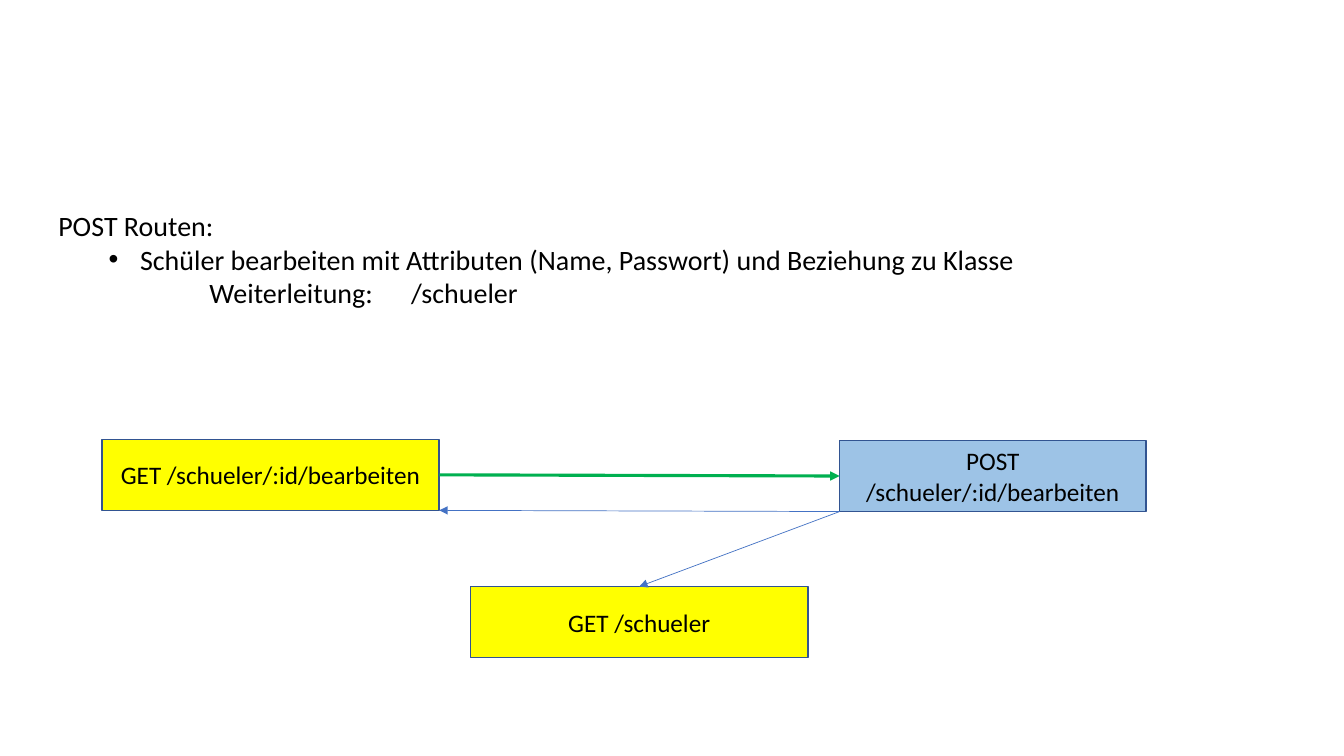
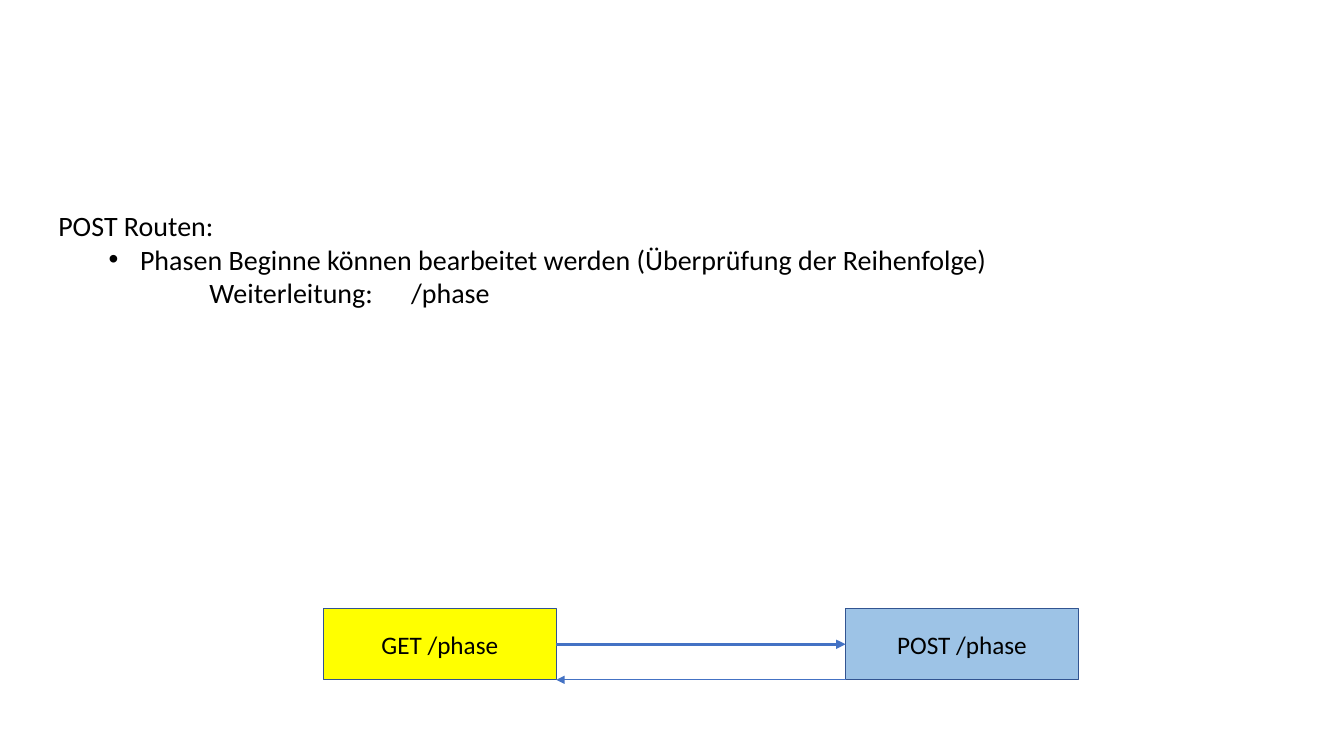
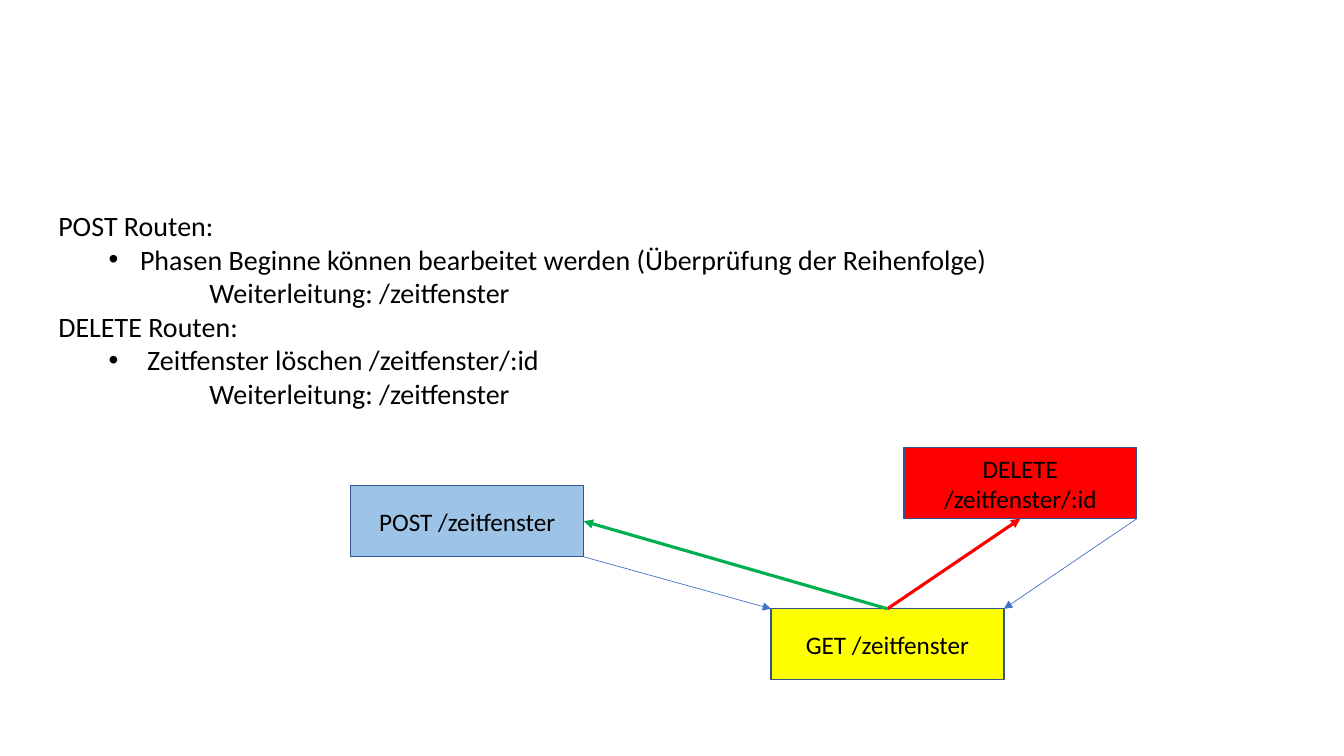
"""Build three slides that show the routes of a school web application."""
from lxml import etree
from pptx import Presentation
from pptx.dml.color import RGBColor
from pptx.enum.shapes import MSO_CONNECTOR, MSO_SHAPE
from pptx.enum.text import MSO_ANCHOR, MSO_AUTO_SIZE, PP_ALIGN
from pptx.oxml.ns import qn
from pptx.util import Cm, Pt

RECTANGLE = MSO_SHAPE.RECTANGLE
STRAIGHT = MSO_CONNECTOR.STRAIGHT
MIDDLE = MSO_ANCHOR.MIDDLE
FIT_SHAPE = MSO_AUTO_SIZE.SHAPE_TO_FIT_TEXT
LEFT_ALIGNED, CENTERED = PP_ALIGN.LEFT, PP_ALIGN.CENTER

FONT = "Calibri"
BLACK, OUTLINE = "000000", "325491"
YELLOW, LIGHT_BLUE, RED = "FFFF00", "9DC3E6", "FF0000"
GREEN, BLUE = "00B050", "4472C4"
THICK, THIN = 2.25, 0.5

ROUTE_HEIGHT = 1.79
NARROW, MEDIUM, WIDE = 5.87, 7.72, 8.5
LINE_HEIGHT = 0.86

TOP_LEFT, TOP, TOP_RIGHT = (0, 0), (0.5, 0), (1, 0)
LEFT, RIGHT = (0, 0.5), (1, 0.5)
BOTTOM_LEFT, BOTTOM, BOTTOM_RIGHT = (0, 1), (0.5, 1), (1, 1)

HEADING = {}
BULLET = {"margin": 2.06, "indent": -0.79, "bullet": "•"}
WIDE_BULLET = {"margin": 2.24, "indent": -0.97, "bullet": "•"}
REDIRECT = {"indent": 3.81, "tab": 8.41}


def color(value):
    """Return the colour for a hex string."""
    return RGBColor.from_string(value)


def write(paragraph, text, size=20, align=LEFT_ALIGNED, margin=0, indent=0,
          bullet=None, tab=None):
    """Write formatted text into a paragraph."""
    run = paragraph.add_run()
    run.text = text
    run.font.name = FONT
    run.font.size = Pt(size)
    run.font.color.rgb = color(BLACK)
    paragraph.alignment = align
    properties = paragraph._p.get_or_add_pPr()
    properties.set("marL", str(Cm(margin)))
    properties.set("indent", str(Cm(indent)))
    if bullet:
        etree.SubElement(properties, qn("a:buFont"), typeface="Arial")
        etree.SubElement(properties, qn("a:buChar"), char=bullet)
    if tab:
        stops = etree.SubElement(properties, qn("a:tabLst"))
        etree.SubElement(stops, qn("a:tab"), pos=str(Cm(tab)), algn="l")


def add_description(slide, lines):
    """Add the list of routes from pairs of text and format."""
    height = LINE_HEIGHT * len(lines) + 0.25
    box = slide.shapes.add_textbox(Cm(1.22), Cm(5.13), Cm(32.44), Cm(height))
    frame = box.text_frame
    frame.word_wrap = True
    frame.auto_size = FIT_SHAPE
    for index, (text, style) in enumerate(lines):
        paragraph = frame.add_paragraph() if index else frame.paragraphs[0]
        write(paragraph, text, **style)


def add_route(slide, text, fill, left, top, width=NARROW):
    """Add a filled box that names a route."""
    shape = slide.shapes.add_shape(
        RECTANGLE, Cm(left), Cm(top), Cm(width), Cm(ROUTE_HEIGHT))
    shape.shadow.inherit = False
    shape.fill.solid()
    shape.fill.fore_color.rgb = color(fill)
    shape.line.color.rgb = color(OUTLINE)
    shape.line.width = Pt(1)
    shape.text_frame.word_wrap = True
    shape.text_frame.vertical_anchor = MIDDLE
    write(shape.text_frame.paragraphs[0], text, size=18, align=CENTERED)
    return shape


def locate(shape, anchor):
    """Return the point at a fraction of a shape's width and height."""
    across, down = anchor
    return (round(shape.left + across * shape.width),
            round(shape.top + down * shape.height))


def add_arrow(slide, source, start, target, end, line_color=BLUE, width=THIN):
    """Add an arrow between anchors of two routes."""
    connector = slide.shapes.add_connector(
        STRAIGHT, *locate(source, start), *locate(target, end))
    connector.line.color.rgb = color(line_color)
    connector.line.width = Pt(width)
    etree.SubElement(connector.line._get_or_add_ln(), qn("a:tailEnd"),
                     type="triangle")
    etree.SubElement(connector._element.spPr, qn("a:effectLst"))


def build_student_slide(slide):
    """Show how a student is edited."""
    add_description(slide, [
        ("POST Routen:", HEADING),
        ("Schüler bearbeiten mit Attributen (Name, Passwort) "
         "und Beziehung zu Klasse", BULLET),
        ("Weiterleitung:\t/schueler", REDIRECT),
    ])
    form = add_route(slide, "GET /schueler/:id/bearbeiten", YELLOW,
                     2.57, 11.07, WIDE)
    post = add_route(slide, "POST /schueler/:id/bearbeiten", LIGHT_BLUE,
                     21.16, 11.1, MEDIUM)
    overview = add_route(slide, "GET /schueler", YELLOW, 11.86, 14.78, WIDE)
    add_arrow(slide, form, RIGHT, post, LEFT, GREEN, THICK)
    add_arrow(slide, post, BOTTOM_LEFT, overview, TOP)
    add_arrow(slide, post, BOTTOM_LEFT, form, BOTTOM_RIGHT)


def build_phase_slide(slide):
    """Show how the phases are edited."""
    add_description(slide, [
        ("POST Routen:", HEADING),
        ("Phasen Beginne können bearbeitet werden "
         "(Überprüfung der Reihenfolge)", BULLET),
        ("Weiterleitung:\t/phase", REDIRECT),
    ])
    overview = add_route(slide, "GET /phase", YELLOW, 8.15, 15.34)
    post = add_route(slide, "POST /phase", LIGHT_BLUE, 21.31, 15.34)
    add_arrow(slide, overview, RIGHT, post, LEFT, BLUE, THICK)
    add_arrow(slide, post, BOTTOM_LEFT, overview, BOTTOM_RIGHT)


def build_time_slot_slide(slide):
    """Show how time slots are edited and deleted."""
    redirect = ("Weiterleitung: /zeitfenster", REDIRECT)
    add_description(slide, [
        ("POST Routen:", HEADING),
        ("Phasen Beginne können bearbeitet werden "
         "(Überprüfung der Reihenfolge)", BULLET),
        redirect,
        ("DELETE Routen:", HEADING),
        ("Zeitfenster löschen /zeitfenster/:id", WIDE_BULLET),
        redirect,
    ])
    overview = add_route(slide, "GET /zeitfenster", YELLOW, 19.43, 15.34)
    post = add_route(slide, "POST /zeitfenster", LIGHT_BLUE, 8.84, 12.24)
    delete = add_route(slide, "DELETE /zeitfenster/:id", RED, 22.78, 11.28)
    add_arrow(slide, overview, TOP, delete, BOTTOM, RED, THICK)
    add_arrow(slide, overview, TOP, post, RIGHT, GREEN, THICK)
    add_arrow(slide, post, BOTTOM_RIGHT, overview, TOP_LEFT)
    add_arrow(slide, delete, BOTTOM_RIGHT, overview, TOP_RIGHT)


def main():
    """Build and save the presentation."""
    presentation = Presentation()
    presentation.slide_width = Cm(33.87)
    presentation.slide_height = Cm(19.05)
    blank = presentation.slide_layouts[6]
    for build in (build_student_slide, build_phase_slide,
                  build_time_slot_slide):
        build(presentation.slides.add_slide(blank))
    presentation.save("out.pptx")


main()
